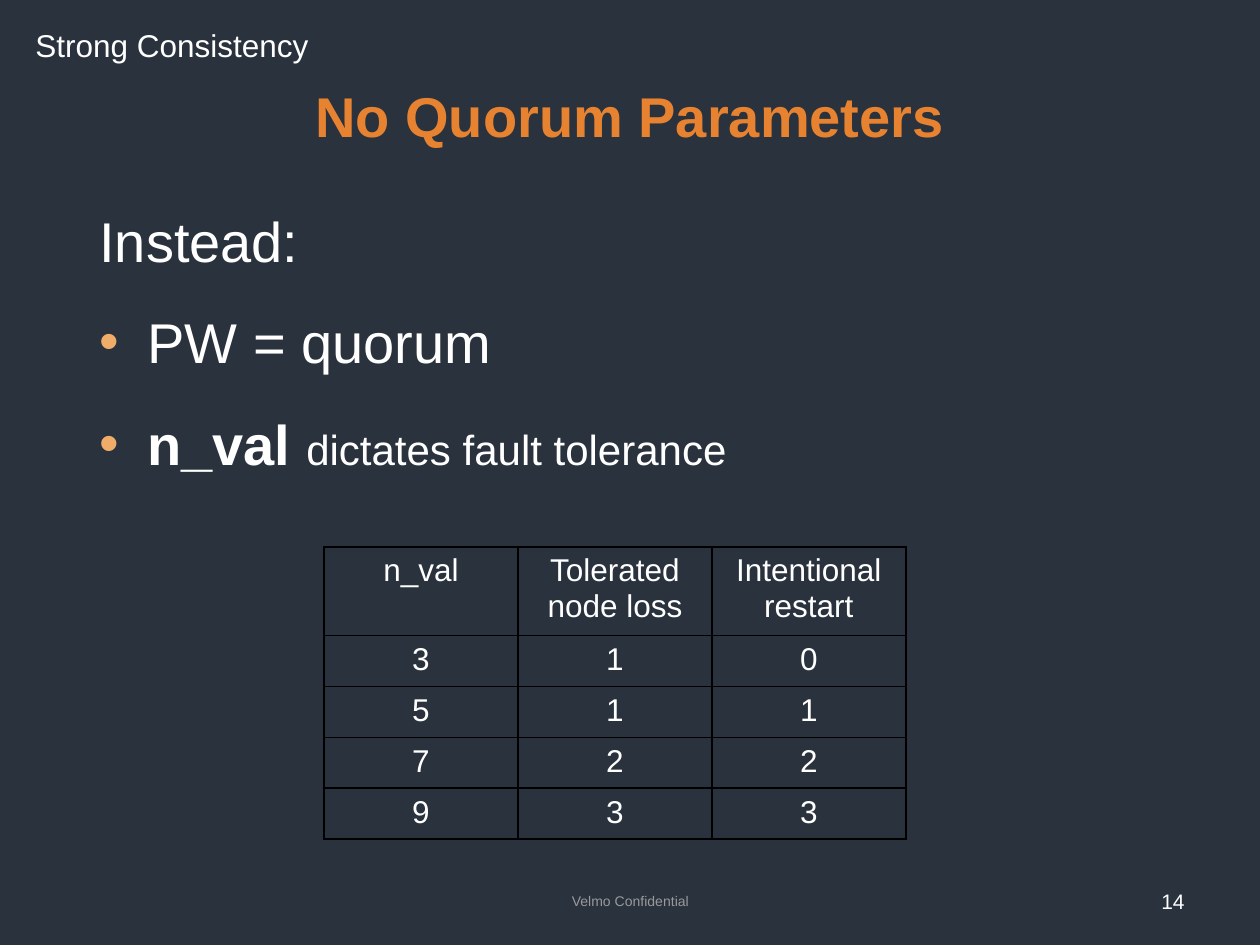
from lxml.etree import SubElement
from pptx import Presentation
from pptx.dml.color import RGBColor
from pptx.enum.text import MSO_ANCHOR, PP_ALIGN
from pptx.oxml.ns import qn
from pptx.util import Emu, Pt

SCALE = 914400 / 126  # EMU per px
WHITE, ORANGE, PEACH = "FFFFFF", "E78330", "F0AD69"
GREY, BLACK, NAVY = "9A9A9C", "000000", "29323D"
LEFT, CENTER, RIGHT = PP_ALIGN.LEFT, PP_ALIGN.CENTER, PP_ALIGN.RIGHT
TOP, MIDDLE = MSO_ANCHOR.TOP, MSO_ANCHOR.MIDDLE


def px(length):
    return Emu(round(length * SCALE))


def color(value):
    return RGBColor.from_string(value)


def add_text(para, text, size=18, fill=WHITE, bold=False, align=None):
    span = para.add_run()
    span.text = text
    span.font.name = "Arial"
    span.font.size = Pt(size)
    span.font.bold = bold
    span.font.color.rgb = color(fill)
    if align is not None:
        para.alignment = align


class SlideBuilder:
    def __init__(self, page):
        self.page = page

    def background(self, fill):
        self.page.background.fill.solid()
        self.page.background.fill.fore_color.rgb = color(fill)

    def text_box(self, left, top, width, height, anchor=TOP, wrap=True):
        box = self.page.shapes.add_textbox(px(left), px(top), px(width), px(height))
        frame = box.text_frame
        frame.word_wrap = wrap
        frame.vertical_anchor = anchor
        return frame

    def label(self, text, place, anchor=MIDDLE, wrap=True, **style):
        frame = self.text_box(*place, anchor=anchor, wrap=wrap)
        add_text(frame.paragraphs[0], text, **style)

    def body(self, items, place):
        frame = self.text_box(*place)
        for index, (bulleted, spans) in enumerate(items):
            para = frame.add_paragraph() if index else frame.paragraphs[0]
            para.space_before = Pt(7.7)
            para.space_after = Pt(12)
            if bulleted:
                self.bullet(para)
            for text, style in spans:
                add_text(para, text, **style)

    def bullet(self, para, indent=48):
        props = para._p.get_or_add_pPr()
        props.set("marL", str(px(indent)))
        props.set("indent", str(-px(indent)))
        fill = SubElement(props, qn("a:buClr"))
        SubElement(fill, qn("a:srgbClr"), val=PEACH)
        SubElement(props, qn("a:buFont"), typeface="Arial")
        SubElement(props, qn("a:buChar"), char="•")

    def table(self, rows, left, top, column_width, heights):
        columns = len(rows[0])
        table = self.page.shapes.add_table(
            len(rows), columns, px(left), px(top),
            px(column_width * columns), px(sum(heights))).table
        table.first_row = table.horz_banding = False
        for column in table.columns:
            column.width = px(column_width)
        for row, height, values in zip(table.rows, heights, rows):
            row.height = px(height)
            for cell, value in zip(row.cells, values):
                self.cell(cell, value)

    def cell(self, cell, value):
        frame = cell.text_frame
        for index, line in enumerate(value.split("\n")):
            para = frame.add_paragraph() if index else frame.paragraphs[0]
            add_text(para, line, align=CENTER)
        props = cell._tc.get_or_add_tcPr()
        for side in ("lnL", "lnR", "lnT", "lnB"):
            border = SubElement(props, qn(f"a:{side}"), w=str(Pt(1)))
            fill = SubElement(border, qn("a:solidFill"))
            SubElement(fill, qn("a:srgbClr"), val=BLACK)
        cell.fill.background()


def main():
    deck = Presentation()
    deck.slide_width, deck.slide_height = px(1260), px(945)
    slide = SlideBuilder(deck.slides.add_slide(deck.slide_layouts[6]))
    slide.background(NAVY)

    # Main points
    large = {"size": 32}
    slide.body([
        (False, [("Instead:", large)]),
        (True, [("PW = quorum", large)]),
        (True, [("n_val ", {"size": 32, "bold": True}),
                ("dictates fault tolerance", {"size": 24})]),
    ], (87, 200, 868, 326))

    # Title, footer and section name
    slide.label("No Quorum Parameters", (63, 64, 1134, 103),
                size=32, fill=ORANGE, bold=True, align=CENTER)
    slide.label("14", (903, 876, 294, 50), size=12, align=RIGHT)
    slide.label("Velmo Confidential", (431, 876, 399, 50),
                size=8, fill=GREY, align=CENTER)
    slide.label("Strong Consistency", (23, 20, 301, 50),
                anchor=TOP, wrap=False, align=LEFT)

    # Fault tolerance by n_val
    slide.table([
        ("n_val", "Tolerated node loss", "Intentional\nrestart"),
        ("3", "1", "0"),
        ("5", "1", "1"),
        ("7", "2", "2"),
        ("9", "3", "3"),
    ], 324, 547, 194, [88] + [51] * 4)

    deck.save("out.pptx")


if __name__ == "__main__":
    main()
